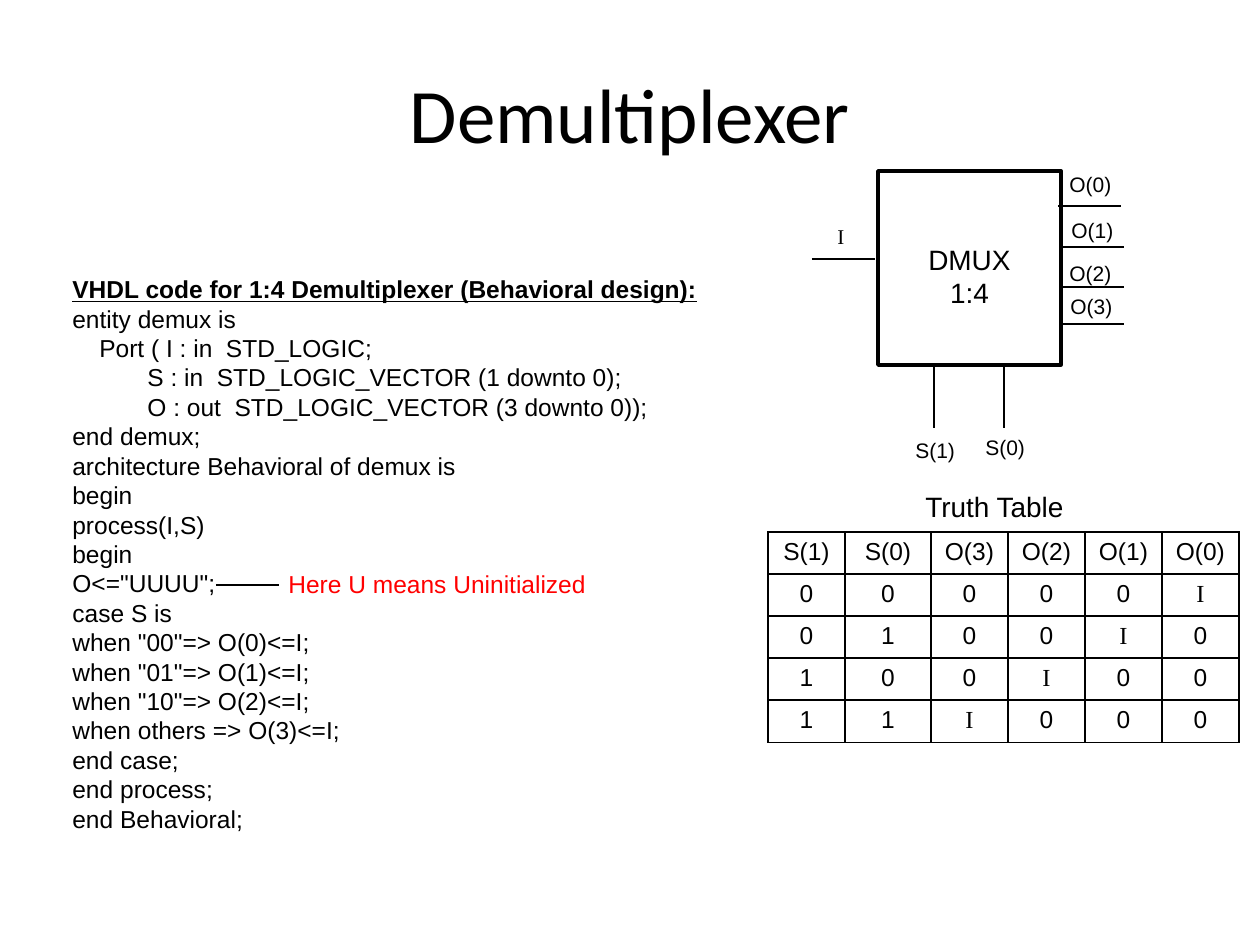
"""Builds the demultiplexer slide with its VHDL code, block symbol and truth table."""
import pptx
import pptx.dml.color
import pptx.enum.shapes
import pptx.enum.text
import pptx.oxml
import pptx.oxml.ns
import pptx.util

PIXEL = 914400 // 126
COLORS = {"black": "000000", "red": "FF0000"}
SERIF = "Times New Roman"
CENTER = pptx.enum.text.PP_ALIGN.CENTER
LEFT = pptx.enum.text.PP_ALIGN.LEFT
MIDDLE = pptx.enum.text.MSO_ANCHOR.MIDDLE
TOP = pptx.enum.text.MSO_ANCHOR.TOP


def color(name):
    return pptx.dml.color.RGBColor.from_string(COLORS[name])


def write(frame, text, size=14, font="Arial", ink="black", align=LEFT, anchor=TOP, wrap=True):
    frame.word_wrap = wrap
    frame.vertical_anchor = anchor
    for index, line in enumerate(text.split("\n")):
        paragraph = frame.paragraphs[0] if index == 0 else frame.add_paragraph()
        paragraph.alignment = align
        run = paragraph.add_run()
        run.text = line
        run.font.size = pptx.util.Pt(size)
        run.font.name = font
        run.font.color.rgb = color(ink)


presentation = pptx.Presentation()
presentation.slide_width = 1260 * PIXEL
presentation.slide_height = 945 * PIXEL
slide = presentation.slides.add_slide(presentation.slide_layouts[5])

title = slide.shapes.title
title.left, title.top, title.width, title.height = [n * PIXEL for n in (63, 34, 1134, 158)]
write(title.text_frame, "Demultiplexer", size=44, font="Calibri", align=CENTER, anchor=MIDDLE)

block = slide.shapes.add_shape(
    pptx.enum.shapes.MSO_SHAPE.RECTANGLE, *[n * PIXEL for n in (878, 171, 183, 194)])
block.shadow.inherit = False
block.fill.background()
block.line.color.rgb = color("black")
block.line.width = pptx.util.Pt(2)

WIRE = 63
wires = [(812, 259, WIRE, 0), (1058, 206, WIRE, 0)]
wires += [(1061, y, WIRE, 0) for y in (247, 287, 324)]
wires += [(x, 365, 0, WIRE) for x in (934, 1004)]
wires += [(216, 585, WIRE, 0)]
for x, y, width, height in wires:
    wire = slide.shapes.add_connector(
        pptx.enum.shapes.MSO_CONNECTOR.STRAIGHT,
        x * PIXEL, y * PIXEL, (x + width) * PIXEL, (y + height) * PIXEL)
    wire.line.color.rgb = color("black")
    wire.line.width = pptx.util.Pt(1.25)
    wire._element.spPr.append(pptx.oxml.parse_xml(
        "<a:effectLst %s/>" % pptx.oxml.ns.nsdecls("a")))

code = """VHDL code for 1:4 Demultiplexer (Behavioral design):
entity demux is
Port ( I : in  STD_LOGIC;
S : in  STD_LOGIC_VECTOR (1 downto 0);
O : out  STD_LOGIC_VECTOR (3 downto 0));
end demux;
architecture Behavioral of demux is
begin
process(I,S)
begin
O<="UUUU";
case S is
when "00"=> O(0)<=I;
when "01"=> O(1)<=I;
when "10"=> O(2)<=I;
when others => O(3)<=I;
end case;
end process;
end Behavioral;"""

pin = {"size": 12, "wrap": False}
labels = [
    ("O(0)", (1057, 165, 87, 38), pin),
    ("O(1)", (1059, 211, 85, 38), pin),
    ("O(2)", (1057, 254, 83, 38), pin),
    ("O(3)", (1058, 287, 86, 38), pin),
    ("S(0)", (973, 428, 66, 38), pin),
    ("S(1)", (903, 431, 66, 38), pin),
    ("I", (825, 217, 33, 38), {**pin, "font": SERIF}),
    ("DMUX\n1:4", (884, 236, 171, 81), {"size": 16, "align": CENTER}),
    ("Truth Table", (913, 483, 170, 47), {"size": 16, "wrap": False}),
    ("Here U means Uninitialized", (276, 563, 368, 43), {"ink": "red", "wrap": False}),
    (code, (60, 268, 679, 577), {"wrap": False}),
]
for text, box, style in labels:
    label = slide.shapes.add_textbox(*[n * PIXEL for n in box])
    write(label.text_frame, text, **style)

code_paragraphs = label.text_frame.paragraphs
heading = code_paragraphs[0].runs[0].font
heading.bold = True
heading.underline = True
for line, indent in ((2, 27), (3, 75), (4, 75)):
    code_paragraphs[line]._p.get_or_add_pPr().set("marL", str(indent * PIXEL))

rows = [
    ["S(1)", "S(0)", "O(3)", "O(2)", "O(1)", "O(0)"],
    ["0", "0", "0", "0", "0", "I"],
    ["0", "1", "0", "0", "I", "0"],
    ["1", "0", "0", "I", "0", "0"],
    ["1", "1", "I", "0", "0", "0"],
]
widths = [77, 86, 77, 77, 77, 77]
truth_table = slide.shapes.add_table(
    len(rows), len(widths), 768 * PIXEL, 532 * PIXEL, sum(widths) * PIXEL, 210 * PIXEL).table
truth_table.first_row = False
truth_table.horz_banding = False
for column, width in zip(truth_table.columns, widths):
    column.width = width * PIXEL
for row, values in enumerate(rows):
    truth_table.rows[row].height = 42 * PIXEL
    for column, value in enumerate(values):
        cell = truth_table.cell(row, column)
        write(cell.text_frame, value, font=SERIF if value == "I" else "Arial", align=CENTER)
        properties = cell._tc.get_or_add_tcPr()
        for side in ("lnL", "lnR", "lnT", "lnB"):
            properties.append(pptx.oxml.parse_xml(
                '<a:%s %s w="12700"><a:solidFill><a:srgbClr val="%s"/></a:solidFill></a:%s>'
                % (side, pptx.oxml.ns.nsdecls("a"), COLORS["black"], side)))
        cell.fill.background()

presentation.save("out.pptx")
